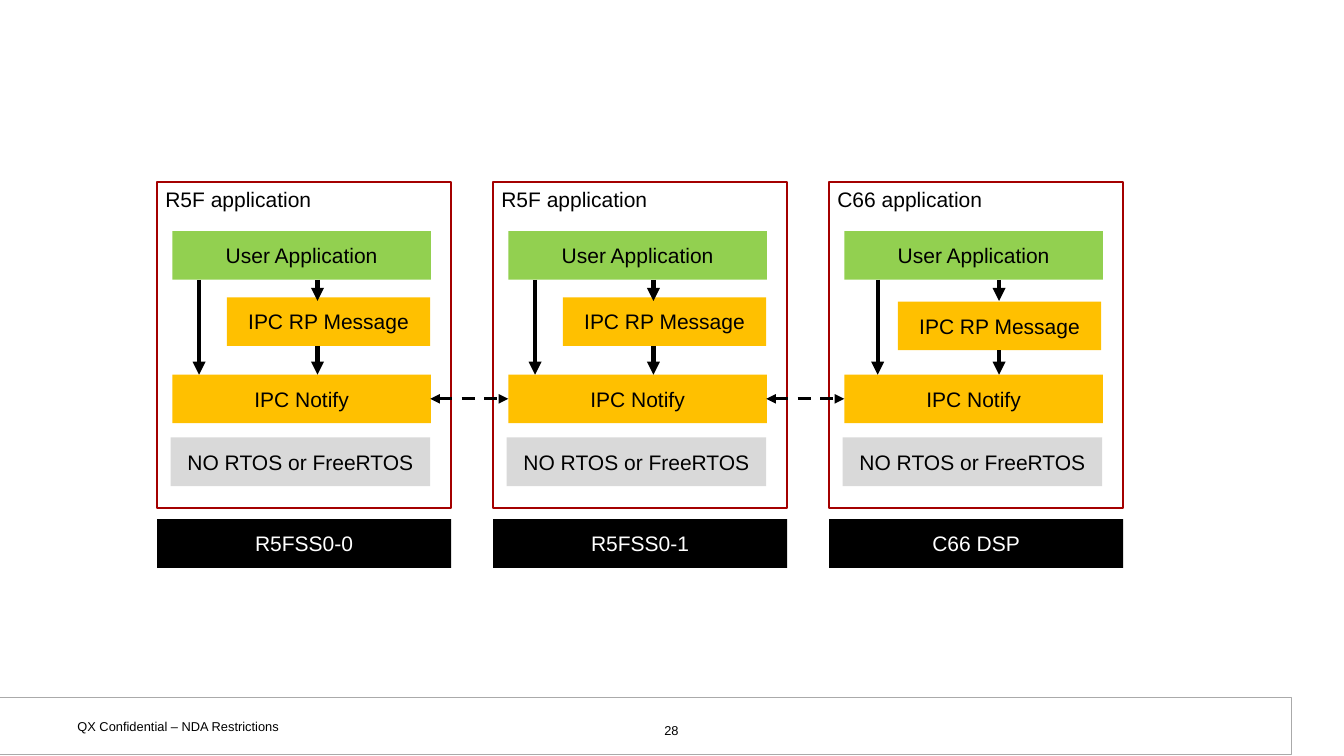
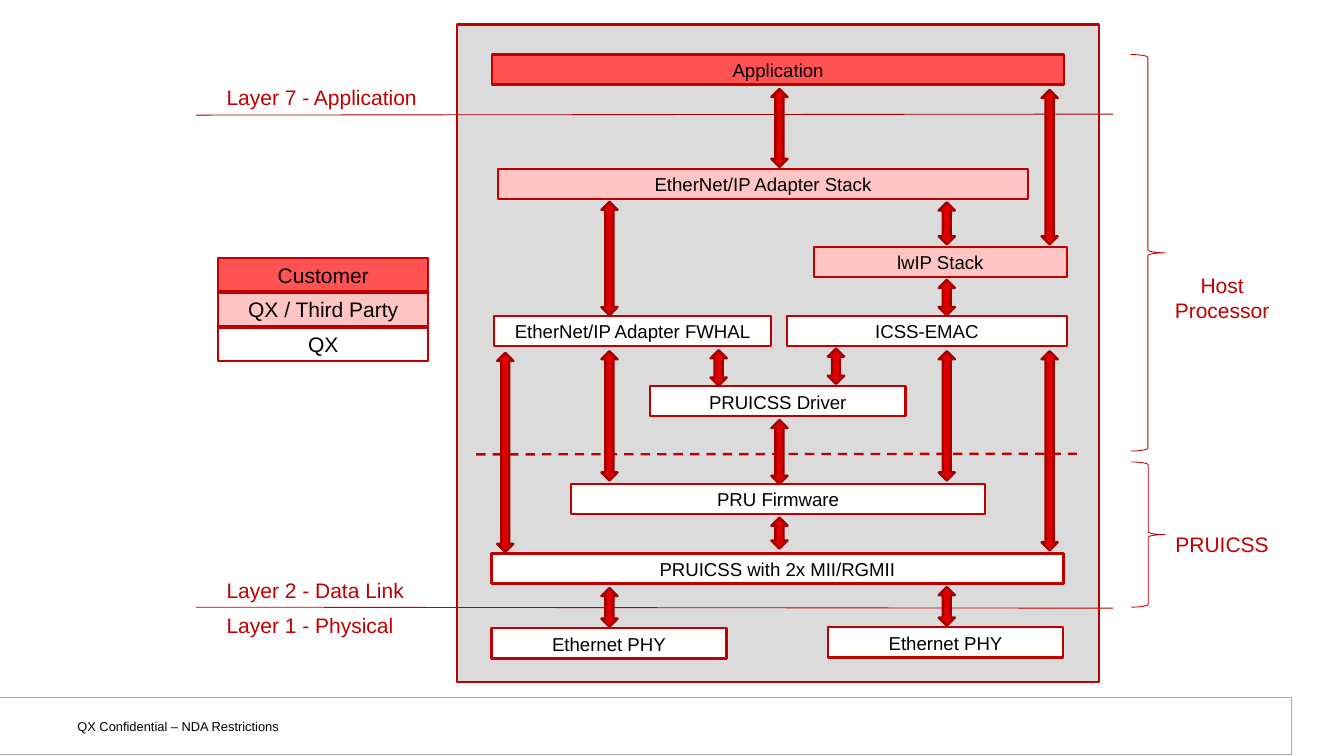
"""Build two slides: core-to-core messaging and an industrial Ethernet stack."""
from dataclasses import dataclass

from lxml import etree
from pptx import Presentation
from pptx.dml.color import RGBColor
from pptx.enum.dml import MSO_LINE
from pptx.enum.shapes import MSO_CONNECTOR, MSO_SHAPE
from pptx.enum.text import MSO_ANCHOR, PP_ALIGN
from pptx.oxml.ns import qn
from pptx.util import Cm, Pt

RECTANGLE = MSO_SHAPE.RECTANGLE
BRACE = MSO_SHAPE.RIGHT_BRACE
DOUBLE_ARROW = MSO_SHAPE.UP_DOWN_ARROW
STRAIGHT = MSO_CONNECTOR.STRAIGHT
DASH = MSO_LINE.DASH
TOP, MIDDLE = MSO_ANCHOR.TOP, MSO_ANCHOR.MIDDLE
LEFT, CENTER = PP_ALIGN.LEFT, PP_ALIGN.CENTER


@dataclass(frozen=True)
class Theme:
    font: str = "Arial"
    black: str = "000000"
    white: str = "FFFFFF"
    footer_line: str = "AAAAAA"
    card_line: str = "A40000"
    green: str = "92D050"
    amber: str = "FFC000"
    grey: str = "D9D9D9"
    panel: str = "DBDBDB"
    red: str = "C00000"
    layer_line: str = "A60000"
    arrow: str = "DE0000"
    customer: str = "FF5252"
    shared: str = "FFC5C5"
    large: float = 18
    medium: float = 16
    small: float = 11
    thin: float = 0.75
    outline: float = 2
    link: float = 2.75
    flow: float = 3.75


THEME = Theme()
FOOTER = "QX Confidential – NDA Restrictions"

COLUMN_LEFT, COLUMN_STEP, COLUMN_WIDTH = 4.75, 10.16, 8.89
CARD_TOP, CARD_HEIGHT = 5.51, 9.86
BLOCK_HEIGHT = 1.47
USER_TOP, NOTIFY_TOP, MESSAGE_ARROW_END = 6.99, 11.33, 9.1
MESSAGE_WIDTH = 6.15
LINK_Y, LINK_START, LINK_END = 12.06, 8.26, 0.46
COLUMNS = [
    dict(title="R5F application", core="R5FSS0-0", direct=1.27,
         message=(2.11, 8.99), through=4.85),
    dict(title="R5F application", core="R5FSS0-1", direct=1.27,
         message=(2.11, 8.99), through=4.85),
    dict(title="C66 application", core="C66 DSP", direct=1.47,
         message=(2.08, 9.12), through=5.14),
]
BLOCKS = [
    ("User Application", 0.46, USER_TOP, 7.82, THEME.green),
    ("IPC Notify", 0.46, NOTIFY_TOP, 7.82, THEME.amber),
    ("NO RTOS or FreeRTOS", 0.41, 13.23, 7.85, THEME.grey),
]
CORE_TOP = 15.7

PANEL = (13.82, 0.74, 19.41, 19.89)
LAYER_LINES = [
    ((5.92, 3.48), (33.66, 3.45), THEME.layer_line),
    ((5.92, 18.36), (33.66, 18.39), THEME.red),
]
DIVIDER = ((14.4, 13.74), (32.56, 13.72))
LABEL_LEFT, LABEL_WIDTH, LABEL_HEIGHT = 6.6, 6.35, 1.02
LAYER_LABELS = [
    ("Layer 7 - Application", 2.44),
    ("Layer 2 - Data Link", 17.32),
    ("Layer 1 - Physical", 18.39),
]
LEGEND_TOP, LEGEND_STEP = 7.8, 1.05
LEGEND = [
    ("Customer", THEME.customer),
    ("QX / Third Party", THEME.shared),
    ("QX", THEME.white),
]
MODULE_HEIGHT = 0.91
MODULES = [
    ("Application", 14.88, 1.65, 17.3, THEME.customer),
    ("EtherNet/IP Adapter Stack", 15.06, 5.11, 16.03, THEME.shared),
    ("lwIP Stack", 24.61, 7.47, 7.65, THEME.shared),
    ("EtherNet/IP Adapter FWHAL", 14.94, 9.55, 8.38, THEME.white),
    ("ICSS-EMAC", 23.8, 9.55, 8.46, THEME.white),
    ("PRUICSS Driver", 19.66, 11.68, 7.72, THEME.white),
    ("PRU Firmware", 17.27, 14.63, 12.52, THEME.white),
    ("PRUICSS with 2x MII/RGMII", 14.86, 16.74, 17.3, THEME.white),
    ("Ethernet PHY", 14.86, 19, 7.11, THEME.white),
    ("Ethernet PHY", 25.04, 18.97, 7.11, THEME.white),
]
ARROW_WIDTH = 0.49
ARROW_LANES = {
    15.28: [(10.67, 6.02)],
    18.43: [(6.1, 3.43), (10.62, 3.91), (17.78, 1.17)],
    21.73: [(10.59, 1.07)],
    23.57: [(2.69, 2.36), (12.7, 1.93), (15.65, 0.94)],
    25.28: [(10.54, 1.07)],
    28.63: [(6.12, 1.27), (8.46, 1.07), (10.62, 3.91), (17.75, 1.17)],
    31.74: [(2.72, 4.67), (10.62, 6.02)],
}
BRACES = [(34.19, 1.65, 1.04, 11.99), (34.21, 13.97, 1.02, 4.39)]
BRACE_LABELS = [
    ("Host\nProcessor", (34.34, 8.1, 5.23, 1.78)),
    ("PRUICSS", (34.34, 15.95, 5.23, 1.02)),
]


def color(value):
    return RGBColor.from_string(value)


def write(box, text, size=THEME.large, ink=THEME.black, align=CENTER,
          anchor=TOP, inset=(0.25, 0.13)):
    frame = box.text_frame
    frame.word_wrap = True
    frame.vertical_anchor = anchor
    frame.margin_left = frame.margin_right = Cm(inset[0])
    frame.margin_top = frame.margin_bottom = Cm(inset[1])
    frame.text = text
    for para in frame.paragraphs:
        para.alignment = align
        para.font.name = THEME.font
        para.font.size = Pt(size)
        para.font.color.rgb = color(ink)


def add_label(page, area, text, **style):
    write(page.shapes.add_textbox(*map(Cm, area)), text, **style)


def add_box(page, area, fill=None, line=None, weight=THEME.outline,
            kind=RECTANGLE, text="", **style):
    box = page.shapes.add_shape(kind, *map(Cm, area))
    box.shadow.inherit = False
    if fill:
        box.fill.solid()
        box.fill.fore_color.rgb = color(fill)
    else:
        box.fill.background()
    if line:
        box.line.color.rgb = color(line)
        box.line.width = Pt(weight)
    else:
        box.line.fill.background()
    if text:
        write(box, text, **style)


def add_line(page, start, end, ink=THEME.black, weight=THEME.flow,
             dash=None, arrows=()):
    line = page.shapes.add_connector(STRAIGHT, *map(Cm, (*start, *end)))
    line.line.color.rgb = color(ink)
    line.line.width = Pt(weight)
    if dash:
        line.line.dash_style = dash
    outline = line.line._get_or_add_ln()
    for end_name in arrows:
        etree.SubElement(outline, qn(f"a:{end_name}"), type="triangle")
    etree.SubElement(line._element.spPr, qn("a:effectLst"))


def add_page(deck, number=None):
    page = deck.slides.add_slide(deck.slide_layouts[6])
    style = dict(size=THEME.small, inset=(0.33, 0.18))
    add_box(page, (-0.08, 21.08, 39.12, 1.73), THEME.white,
            THEME.footer_line, THEME.thin)
    add_label(page, (2.01, 21.54, 9.37, 0.81), FOOTER, align=LEFT, **style)
    if number:
        add_label(page, (15.57, 21.67, 9.47, 0.69), number, **style)
    return page


def add_column(page, left, column):
    add_box(page, (left, CARD_TOP, COLUMN_WIDTH, CARD_HEIGHT), THEME.white,
            THEME.card_line, text=column["title"], align=LEFT)
    offset, message_top = column["message"]
    user_bottom = USER_TOP + BLOCK_HEIGHT - 0.1
    message_bottom = message_top + BLOCK_HEIGHT
    blocks = BLOCKS + [
        ("IPC RP Message", offset, message_top, MESSAGE_WIDTH, THEME.amber)]
    for text, indent, top, width, fill in blocks:
        add_box(page, (left + indent, top, width, BLOCK_HEIGHT), fill,
                text=text, anchor=MIDDLE)
    add_box(page, (left, CORE_TOP, COLUMN_WIDTH, BLOCK_HEIGHT), THEME.black,
            text=column["core"], ink=THEME.white, anchor=MIDDLE)
    for indent, start, end in [
        (column["direct"], user_bottom + 0.1, NOTIFY_TOP),
        (column["through"], user_bottom + 0.1, MESSAGE_ARROW_END),
        (column["through"], message_bottom, NOTIFY_TOP),
    ]:
        add_line(page, (left + indent, start), (left + indent, end),
                 arrows=["tailEnd"])


def build_messaging(deck):
    page = add_page(deck, "28")
    lefts = [COLUMN_LEFT + COLUMN_STEP * index for index in range(len(COLUMNS))]
    for left, column in zip(lefts, COLUMNS):
        add_column(page, left, column)
    for left, following in zip(lefts, lefts[1:]):
        add_line(page, (left + LINK_START, LINK_Y),
                 (following + LINK_END, LINK_Y), weight=THEME.link,
                 dash=DASH, arrows=["headEnd", "tailEnd"])


def build_stack(deck):
    page = add_page(deck)
    add_box(page, PANEL, THEME.panel, THEME.red)
    for start, end, ink in LAYER_LINES:
        add_line(page, start, end, ink, THEME.thin)
    for text, top in LAYER_LABELS:
        add_label(page, (LABEL_LEFT, top, LABEL_WIDTH, LABEL_HEIGHT), text,
                  ink=THEME.red, align=LEFT)
    for index, (text, fill) in enumerate(LEGEND):
        top = LEGEND_TOP + LEGEND_STEP * index
        add_box(page, (LABEL_LEFT, top, LABEL_WIDTH, LABEL_HEIGHT), fill,
                THEME.red, text=text)
    for text, left, top, width, fill in MODULES:
        add_box(page, (left, top, width, MODULE_HEIGHT), fill, THEME.red,
                text=text, size=THEME.medium)
    add_line(page, *DIVIDER, ink=THEME.red, weight=THEME.outline, dash=DASH)
    for center, arrows in ARROW_LANES.items():
        for top, height in arrows:
            add_box(page, (center - ARROW_WIDTH / 2, top, ARROW_WIDTH, height),
                    THEME.arrow, THEME.card_line, kind=DOUBLE_ARROW)
    for area in BRACES:
        add_box(page, area, line=THEME.red, weight=THEME.thin, kind=BRACE)
    for text, area in BRACE_LABELS:
        add_label(page, area, text, ink=THEME.red)


def main():
    deck = Presentation()
    deck.slide_width, deck.slide_height = Cm(40.64), Cm(22.86)
    build_messaging(deck)
    build_stack(deck)
    deck.save("out.pptx")


if __name__ == "__main__":
    main()
